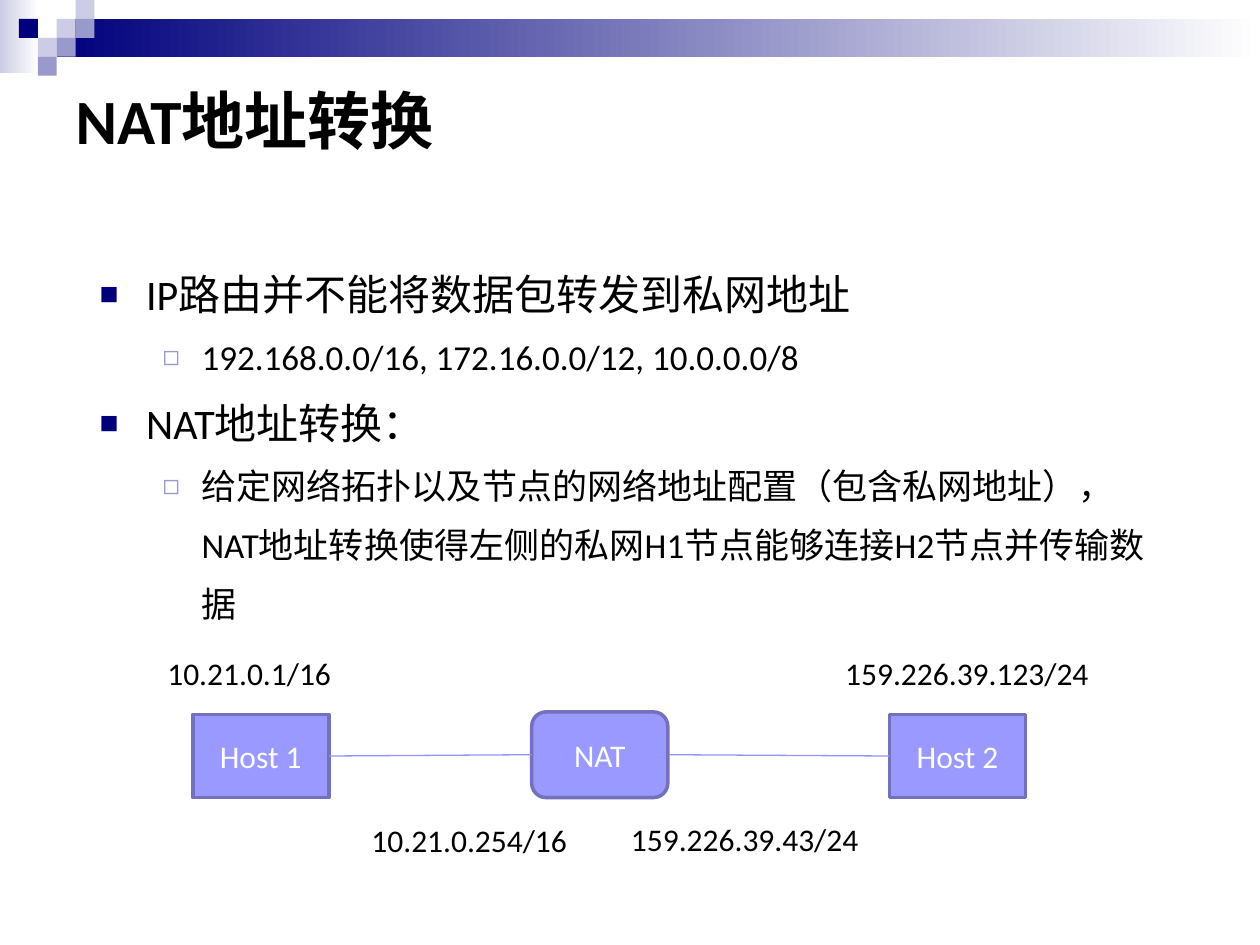
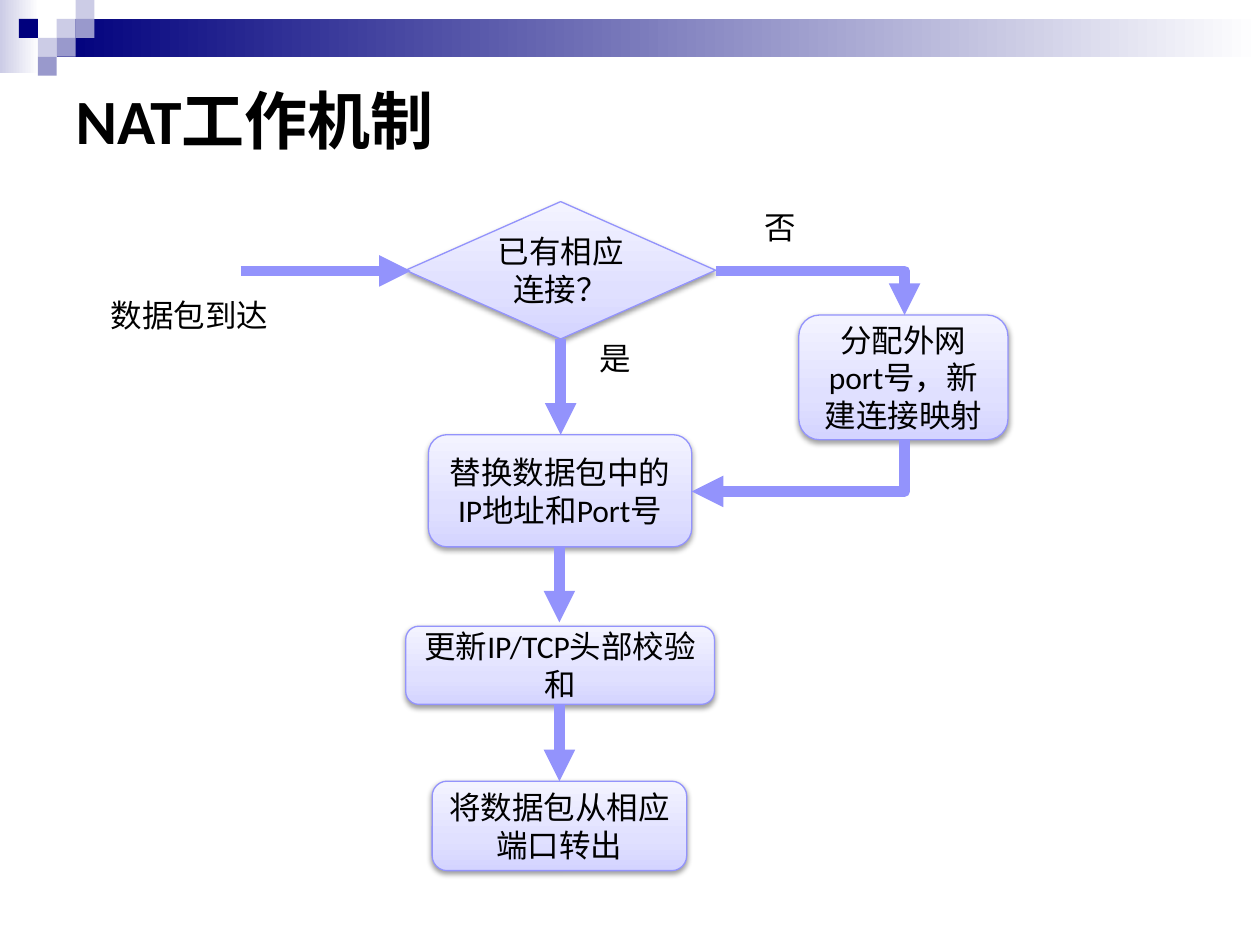
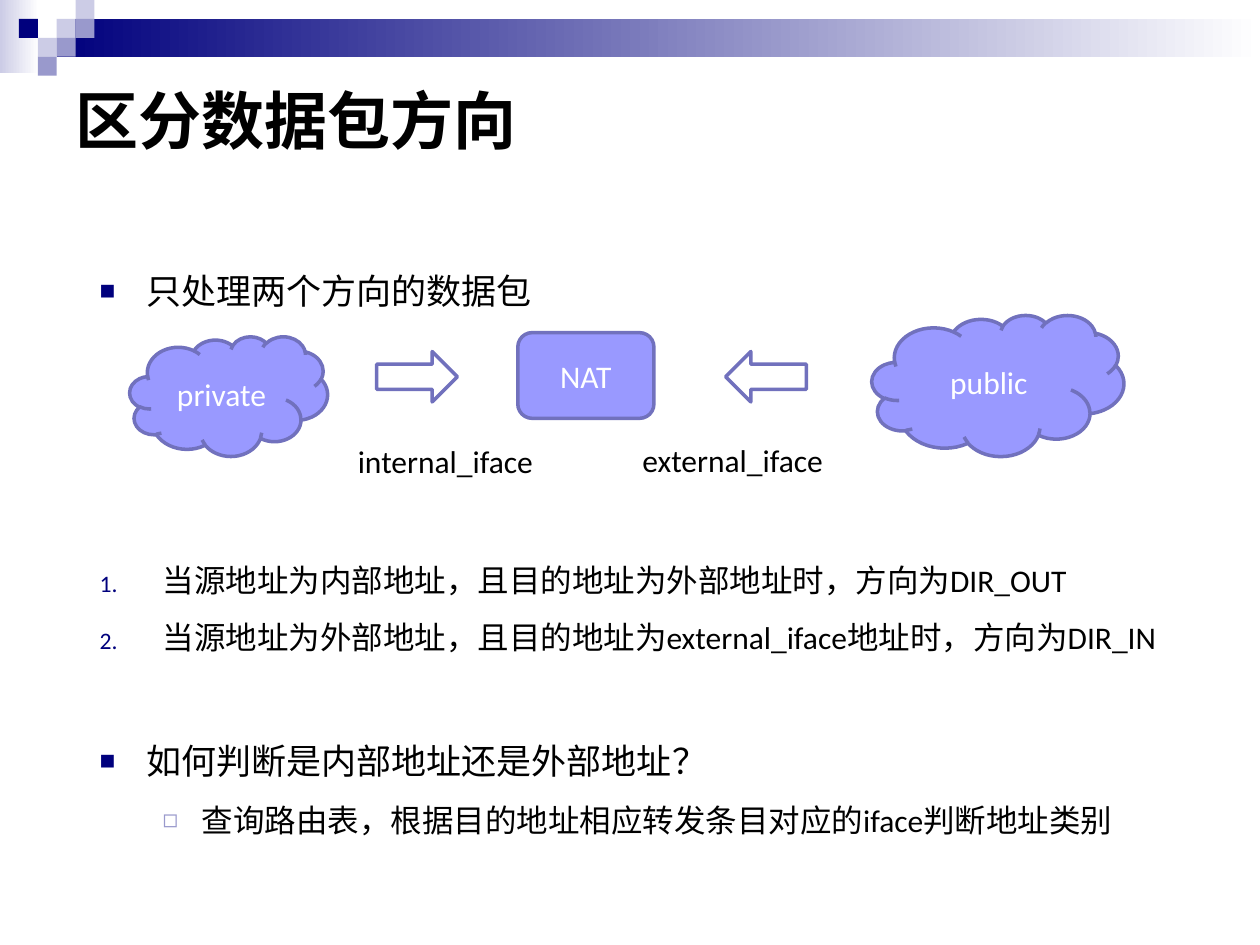
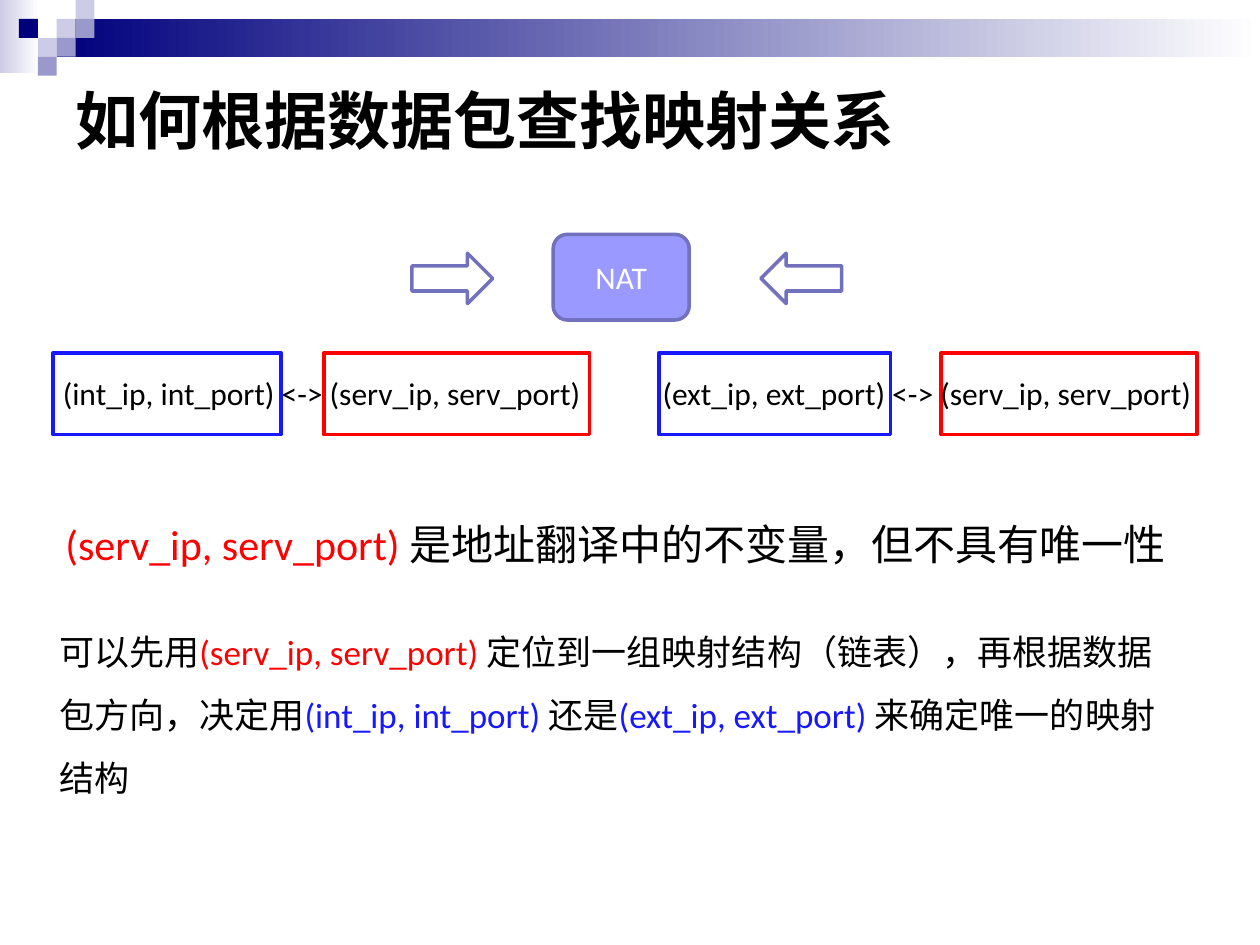
import copy
import lxml.etree
import pptx
import pptx.dml.color
import pptx.enum.shapes
import pptx.enum.text
import pptx.oxml
import pptx.oxml.ns
import pptx.util

Inches, Pt = pptx.util.Inches, pptx.util.Pt
qn, nsdecls = pptx.oxml.ns.qn, pptx.oxml.ns.nsdecls
rgb = pptx.dml.color.RGBColor.from_string
SHAPE = pptx.enum.shapes.MSO_SHAPE
CONNECTOR = pptx.enum.shapes.MSO_CONNECTOR
LEFT = pptx.enum.text.PP_ALIGN.LEFT
CENTER = pptx.enum.text.PP_ALIGN.CENTER

FONT = "Calibri"
BLACK, WHITE, NAVY = "000000", "FFFFFF", "00007D"
LILAC, PALE_LILAC = "9999CC", "CCCCE6"
NODE, NODE_EDGE, FLOW = "9999FF", "7171BD", "9393FC"
RED, BLUE = "FF0000", "1818FF"
STEP_STOPS = [(0, "D4D4FF"), (0.35, "E0E0FF"), (1, "F3F3FF")]


def write(paragraph, runs, size, bold=False):
    for text, color in runs:
        run = paragraph.add_run()
        run.text = text
        run.font.name = FONT
        run.font.size = Pt(size)
        run.font.bold = bold
        run.font.color.rgb = rgb(color)


def box(shapes, kind, at, text="", fill=None, line=None, weight=2, angle=0):
    """A preset shape; fill is a hex colour, a list of gradient stops or None."""
    shape = shapes.add_shape(kind, *map(Inches, at))
    shape.shadow.inherit = False
    if fill is None:
        shape.fill.background()
    elif isinstance(fill, str):
        shape.fill.solid()
        shape.fill.fore_color.rgb = rgb(fill)
    else:
        shape.fill.gradient()
        shape.fill.gradient_angle = angle
        stop_list = shape.element.spPr.find(".//" + qn("a:gsLst"))
        while len(stop_list) < len(fill):
            stop_list.append(copy.deepcopy(stop_list[-1]))
        for stop, (position, color) in zip(shape.fill.gradient_stops, fill):
            stop.position = position
            stop.color.rgb = rgb(color)
    if line:
        shape.line.color.rgb = rgb(line)
        shape.line.width = Pt(weight)
    else:
        shape.line.fill.background()
    if text:
        paragraph = shape.text_frame.paragraphs[0]
        paragraph.alignment = CENTER
        write(paragraph, [(text, WHITE if fill == NODE else BLACK)], 18)
    return shape


prs = pptx.Presentation()
prs.slide_width, prs.slide_height = Inches(10), Inches(7.5)
master = prs.slide_master

# Master: title place and style
master_title = master.placeholders[0]
master_title.left, master_title.top = Inches(0.5), Inches(0.5)
master_title.width, master_title.height = Inches(9), Inches(0.89)
title_style = master.element.find(".//" + qn("p:titleStyle") + "/" + qn("a:lvl1pPr"))
title_style.set("algn", "l")

# Master: bullets of the two list levels
for level, mark, color, percent, left, hang in [
    (1, "■", NAVY, 75, 0.37, 0.37),
    (2, "◻", LILAC, 80, 0.81, 0.31),
]:
    style = master.element.find(".//" + qn("p:bodyStyle") + "/" + qn(f"a:lvl{level}pPr"))
    style.set("marL", str(Inches(left)))
    style.set("indent", str(-Inches(hang)))
    for child in list(style):
        if child.tag != qn("a:defRPr"):
            style.remove(child)
    bullet = pptx.oxml.parse_xml(
        f'<a:pPr {nsdecls("a")}><a:spcBef><a:spcPts val="0"/></a:spcBef>'
        f'<a:buClr><a:srgbClr val="{color}"/></a:buClr><a:buSzPct val="{percent}000"/>'
        f'<a:buFont typeface="Arial"/><a:buChar char="{mark}"/></a:pPr>')
    for place, child in enumerate(list(bullet)):
        style.insert(place, child)

# Slides and titles
slides = []
for title, layout in [("NAT地址转换", 1), ("NAT工作机制", 5),
                      ("区分数据包方向", 1), ("如何根据数据包查找映射关系", 5)]:
    slide = prs.slides.add_slide(prs.slide_layouts[layout])
    write(slide.shapes.title.text_frame.paragraphs[0], [(title, BLACK)], 36, True)
    slides.append(slide)
topology, workflow, direction, lookup = slides

# Header band and squares, drawn once and moved to the master
band = topology.shapes.add_group_shape()
box(band.shapes, SHAPE.RECTANGLE, (0, 0, 0.31, 0.58), fill=[(0, PALE_LILAC), (1, WHITE)])
box(band.shapes, SHAPE.RECTANGLE, (0.45, 0.15, 9.55, 0.3), fill=[(0, NAVY), (1, WHITE)])
SQUARE = 0.15
for column, row, color in [(3, 1, PALE_LILAC), (4, 0, PALE_LILAC), (4, 1, LILAC),
                           (2, 2, PALE_LILAC), (1, 1, NAVY), (3, 2, LILAC), (2, 3, LILAC)]:
    box(band.shapes, SHAPE.RECTANGLE, (column * SQUARE, row * SQUARE, SQUARE, SQUARE), fill=color)
for number, properties in enumerate(band.element.iter(qn("p:cNvPr")), 101):
    properties.set("id", str(number))
master.shapes.element.insert(2, band.element)

# Lists: level, size, space before, text
for slide, height, spacing, items in [
    (topology, 3.15, 1.4, [
        (0, 24, 0, "IP路由并不能将数据包转发到私网地址"),
        (1, 20, 0, "192.168.0.0/16, 172.16.0.0/12, 10.0.0.0/8"),
        (0, 24, 0, "NAT地址转换："),
        (1, 20, 0, "给定网络拓扑以及节点的网络地址配置（包含私网地址），"
                   "NAT地址转换使得左侧的私网H1节点能够连接H2节点并传输数据"),
    ]),
    (direction, 4.84, 1.5, [
        (0, 20, 0, "只处理两个方向的数据包"),
        (0, 18, 132, "当源地址为内部地址，且目的地址为外部地址时，方向为DIR_OUT"),
        (0, 18, 0, "当源地址为外部地址，且目的地址为external_iface地址时，方向为DIR_IN"),
        (0, 20, 36, "如何判断是内部地址还是外部地址？"),
        (1, 18, 0, "查询路由表，根据目的地址相应转发条目对应的iface判断地址类别"),
    ]),
]:
    body = slide.placeholders[1]
    body.left, body.top, body.width, body.height = map(Inches, (0.69, 1.92, 8.62, height))
    frame = body.text_frame
    frame.auto_size = pptx.enum.text.MSO_AUTO_SIZE.NONE
    for index, (level, size, before, text) in enumerate(items):
        paragraph = frame.add_paragraph() if index else frame.paragraphs[0]
        paragraph.level = level
        paragraph.line_spacing = spacing
        paragraph.space_before = Pt(before)
        write(paragraph, [(text, BLACK)], size)

# The two direction rules are numbered
for rule in list(direction.placeholders[1].element.iter(qn("a:p")))[1:3]:
    properties = rule.find(qn("a:pPr"))
    properties.set("marL", str(Inches(0.5)))
    properties.set("indent", str(-Inches(0.5)))
    lxml.etree.SubElement(properties, qn("a:buFont"), typeface=FONT)
    lxml.etree.SubElement(properties, qn("a:buAutoNum"), type="arabicPeriod")

# Topology: hosts around the NAT
network = topology.shapes.add_group_shape().shapes
for host, left in [("Host 1", 1.53), ("Host 2", 7.06)]:
    box(network, SHAPE.RECTANGLE, (left, 5.67, 1.08, 0.66), host, NODE, NODE_EDGE)
box(network, SHAPE.ROUNDED_RECTANGLE, (4.22, 5.65, 1.08, 0.68), "NAT", NODE, NODE_EDGE)

# Workflow: steps with a soft shadow
for kind, at, text in [
    (SHAPE.ROUNDED_RECTANGLE, (6.34, 2.5, 1.66, 0.99), "分配外网port号，新建连接映射"),
    (SHAPE.ROUNDED_RECTANGLE, (3.4, 3.45, 2.09, 0.89), "替换数据包中的IP地址和Port号"),
    (SHAPE.DIAMOND, (3.22, 1.6, 2.46, 1.09), "已有相应连接？"),
    (SHAPE.ROUNDED_RECTANGLE, (3.22, 4.97, 2.45, 0.62), "更新IP/TCP头部校验和"),
    (SHAPE.ROUNDED_RECTANGLE, (3.43, 6.2, 2.02, 0.71), "将数据包从相应端口转出"),
]:
    step = box(workflow.shapes, kind, at, text, STEP_STOPS, FLOW, 0.75, angle=90)
    step.element.spPr.find(qn("a:effectLst")).append(pptx.oxml.parse_xml(
        f'<a:outerShdw {nsdecls("a")} blurRad="40000" dist="20000" dir="5400000" rotWithShape="0">'
        f'<a:srgbClr val="{BLACK}"><a:alpha val="38000"/></a:srgbClr></a:outerShdw>'))

# Direction and lookup: NAT between two facing arrows
gateway = direction.shapes.add_group_shape().shapes
for shapes, left, top in [(gateway, 4.11, 2.64), (lookup.shapes, 4.39, 1.86)]:
    box(shapes, SHAPE.ROUNDED_RECTANGLE, (left, top, 1.08, 0.68), "NAT", NODE, NODE_EDGE)
    arrow_top = top + 0.15
    box(shapes, SHAPE.RIGHT_ARROW, (left - 1.12, arrow_top, 0.64, 0.4), line=NODE_EDGE)
    inbound = box(shapes, SHAPE.RIGHT_ARROW, (left + 1.65, arrow_top, 0.64, 0.4), line=NODE_EDGE)
    inbound.element.spPr.find(qn("a:xfrm")).set("flipH", "1")

# Direction: the two networks
for network_name, at in [("private", (1.03, 2.67, 1.57, 0.95)), ("public", (6.92, 2.5, 2, 1.12))]:
    box(direction.shapes, SHAPE.CLOUD, at, network_name, NODE, NODE_EDGE)

# Lookup: frames around the address pairs
for left, width, color in [(2.57, 2.11, RED), (7.47, 2.03, RED),
                           (0.42, 1.81, BLUE), (5.23, 1.84, BLUE)]:
    box(lookup.shapes, SHAPE.RECTANGLE, (left, 2.8, width, 0.65), line=color)

# One-line labels of all slides
for shapes, at, text, wrap, alignment in [
    (network, (1.23, 5.14, 1.51, 0.4), "10.21.0.1/16", False, LEFT),
    (network, (6.61, 5.14, 2.15, 0.4), "159.226.39.123/24", False, LEFT),
    (network, (4.91, 6.46, 2.03, 0.4), "159.226.39.43/24", False, LEFT),
    (network, (2.85, 6.47, 1.77, 0.4), "10.21.0.254/16", False, LEFT),
    (workflow.shapes, (0.78, 2.3, 1.46, 0.4), "数据包到达", False, LEFT),
    (workflow.shapes, (5.97, 1.6, 0.54, 0.4), "否", True, LEFT),
    (workflow.shapes, (4.66, 2.64, 0.54, 0.4), "是", True, LEFT),
    (gateway, (4.99, 3.45, 1.65, 0.4), "external_iface", False, CENTER),
    (gateway, (2.73, 3.46, 1.61, 0.4), "internal_iface", False, CENTER),
    (lookup.shapes, (0.4, 2.92, 4.36, 0.4), "(int_ip, int_port) <-> (serv_ip, serv_port)", False, LEFT),
    (lookup.shapes, (5.16, 2.92, 4.45, 0.4), "(ext_ip, ext_port) <-> (serv_ip, serv_port)", False, LEFT),
]:
    frame = shapes.add_textbox(*map(Inches, at)).text_frame
    frame.word_wrap = wrap
    frame.auto_size = pptx.enum.text.MSO_AUTO_SIZE.SHAPE_TO_FIT_TEXT
    frame.paragraphs[0].alignment = alignment
    write(frame.paragraphs[0], [(text, BLACK)], 18)

# Lookup: conclusions with coloured address pairs
for at, wrap, size, spacing, runs in [
    ((0.42, 4.07, 8.99, 0.5), False, 24, 1.0, [
        ("(serv_ip, serv_port) ", RED),
        ("是地址翻译中的不变量，但不具有唯一性", BLACK)]),
    ((0.37, 4.79, 9.05, 1.56), True, 20, 1.5, [
        ("可以先用", BLACK),
        ("(serv_ip, serv_port) ", RED),
        ("定位到一组映射结构（链表），再根据数据包方向，决定用", BLACK),
        ("(int_ip, int_port) ", BLUE),
        ("还是", BLACK),
        ("(ext_ip, ext_port) ", BLUE),
        ("来确定唯一的映射结构", BLACK)]),
]:
    frame = lookup.shapes.add_textbox(*map(Inches, at)).text_frame
    frame.word_wrap = wrap
    frame.auto_size = pptx.enum.text.MSO_AUTO_SIZE.SHAPE_TO_FIT_TEXT
    frame.paragraphs[0].line_spacing = spacing
    write(frame.paragraphs[0], runs, size)

# Links of the topology and arrows of the workflow; a turn in degrees marks an elbow
for shapes, begin, end, turn in [
    (network, (2.61, 6), (4.22, 5.99), None),
    (network, (5.31, 5.99), (7.06, 6), None),
    (workflow.shapes, (1.91, 2.15), (3.26, 2.15), None),
    (workflow.shapes, (4.45, 2.69), (4.45, 3.45), None),
    (workflow.shapes, (5.68, 2.15), (7.18, 2.5), 0),
    (workflow.shapes, (6.13, 2.85), (6.54, 4.54), 90),
    (workflow.shapes, (4.44, 4.34), (4.44, 4.94), None),
    (workflow.shapes, (4.44, 5.59), (4.44, 6.2), None),
]:
    kind = CONNECTOR.STRAIGHT if turn is None else CONNECTOR.ELBOW
    link = shapes.add_connector(kind, *map(Inches, begin + end))
    link.line.color.rgb = rgb(FLOW)
    link.line.width = Pt(0.75 if shapes is network else 6)
    properties = link.element.spPr
    if turn is not None:
        properties.find(qn("a:prstGeom")).set("prst", "bentConnector2")
        properties.find(qn("a:xfrm")).set("rot", str(turn * 60000))
    if shapes is not network:
        lxml.etree.SubElement(properties.find(qn("a:ln")), qn("a:tailEnd"), type="triangle")
    lxml.etree.SubElement(properties, qn("a:effectLst"))

# Chinese text takes the same font as Latin text
for slide in slides:
    for latin in list(slide.element.iter(qn("a:latin"))):
        latin.addnext(lxml.etree.Element(qn("a:ea"), typeface=FONT))

prs.save("out.pptx")
